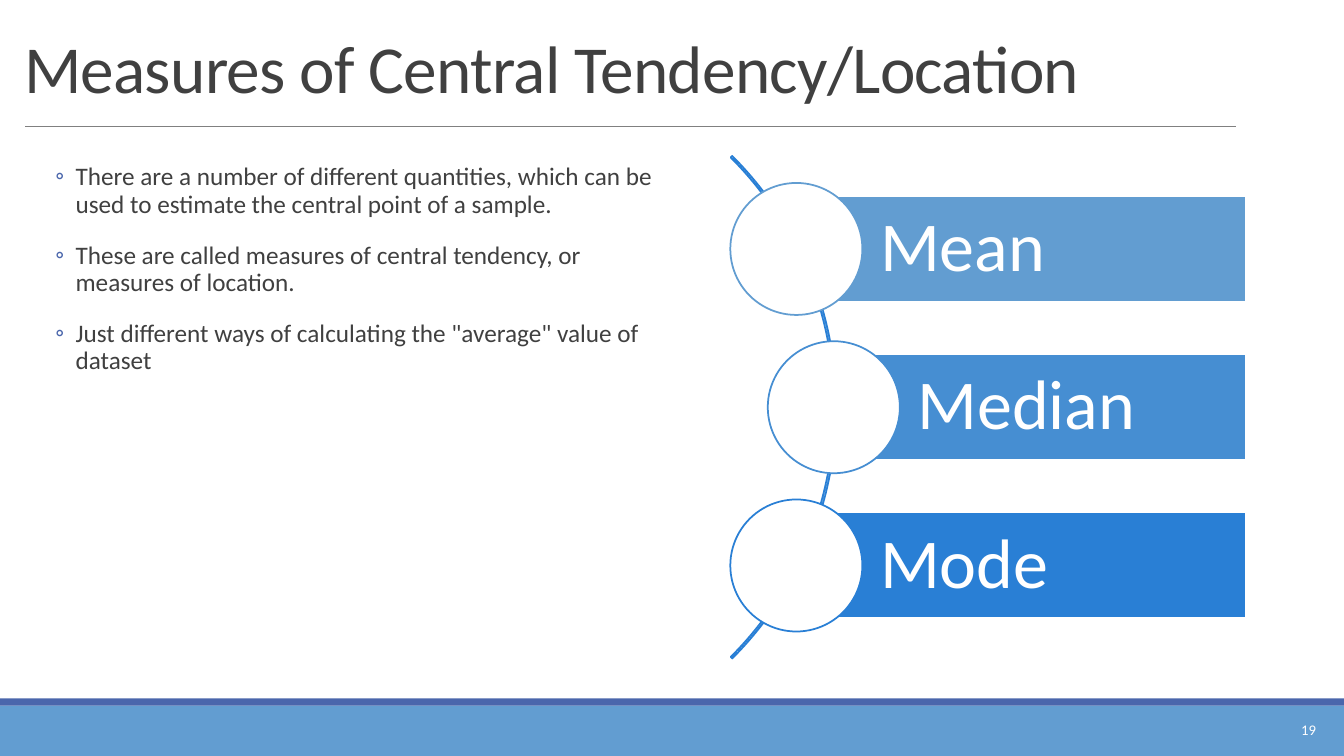
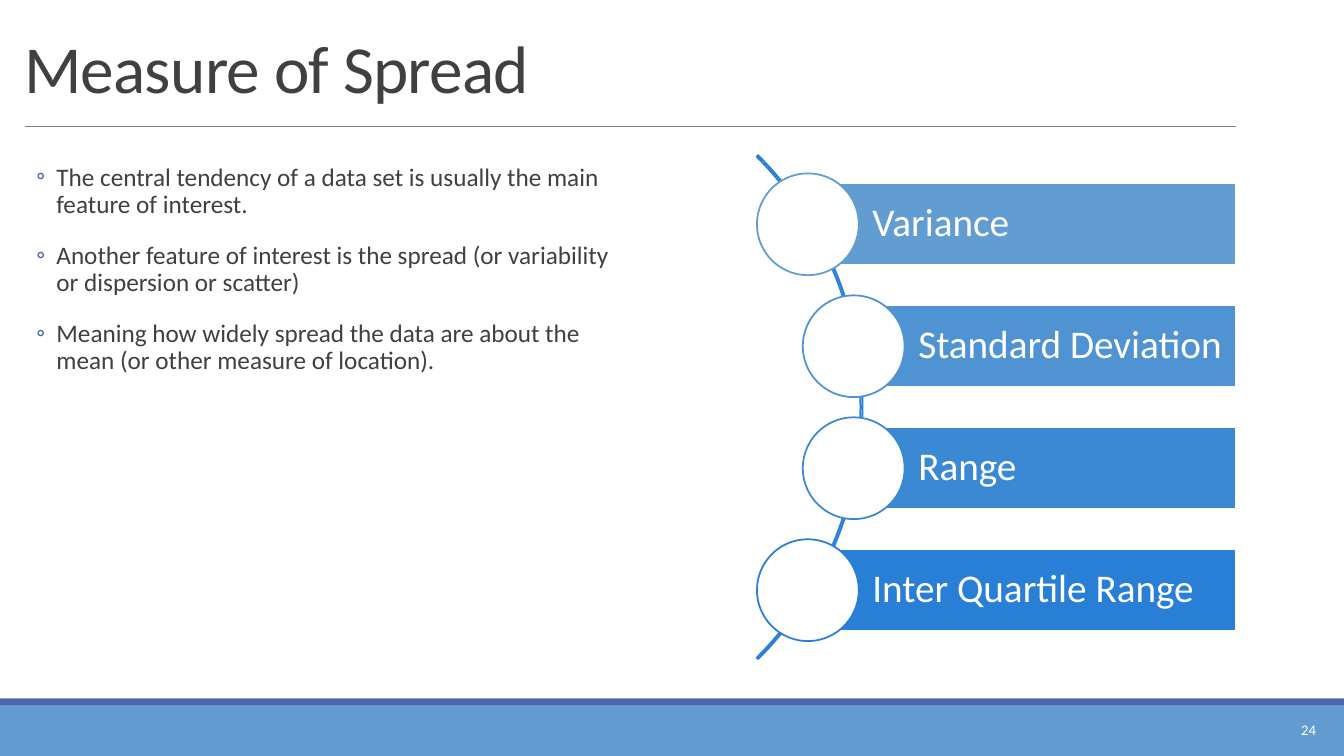
"""Build two statistics slides, each with bullets beside an arc of labelled bars."""
from math import sqrt

from lxml.etree import SubElement
from pptx import Presentation
from pptx.dml.color import RGBColor
from pptx.enum.shapes import MSO_CONNECTOR as CONN, MSO_SHAPE as SHAPE
from pptx.enum.text import MSO_ANCHOR as ANCHOR, PP_ALIGN as ALIGN
from pptx.oxml.ns import qn
from pptx.util import Inches, Pt

FONT = "Calibri"
WHITE, DARK, GREY = "FFFFFF", "404040", "808080"
LIGHT, INDIGO, BLUE = "629DD1", "4A66AC", "297FD5"
RING_RADIUS = 3.5

SLIDES = [
    {
        "title": "Measures of Central Tendency/Location",
        "number": "19",
        "body": (0.33, 1.58, 6.25, 5),
        "bullets": [
            "There are a number of different quantities, which can be used to estimate the central point of a sample.",
            "These are called measures of central tendency, or measures of location.",
            'Just different ways of calculating the "average" value of dataset',
        ],
        "bars": [("Mean", LIGHT), ("Median", "468ED2"), ("Mode", BLUE)],
        "center": (4.77, 4.04), "arc": 7.05, "right": 12.36,
        "pitch": 1.57, "circle": 1.31, "size": 50, "insets": (0.83, 0.14),
    },
    {
        "title": "Measure of Spread",
        "number": "24",
        "body": (0.14, 1.58, 5.94, 4.92),
        "bullets": [
            "The central tendency of a data set is usually the main feature of interest.",
            "Another feature of interest is the spread (or variability or dispersion or scatter)",
            "Meaning how widely spread the data are about the mean (or other measure of location).",
        ],
        "bars": [("Variance", LIGHT), ("Standard Deviation", "5093D2"),
                 ("Range", "3C89D3"), ("Inter Quartile Range", BLUE)],
        "center": (5.02, 4.04), "arc": 7.07, "right": 12.26,
        "pitch": 1.21, "circle": 1.01, "size": 28, "insets": (0.64, 0.08),
    },
]


def rgb(color):
    return RGBColor.from_string(color)


def add_shape(s, kind, box, fill=None, line=None):
    sp = s.shapes.add_shape(kind, *map(Inches, box))
    sp.shadow.inherit = False
    if fill:
        sp.fill.solid()
        sp.fill.fore_color.rgb = rgb(fill)
    else:
        sp.fill.background()
    if line:
        sp.line.color.rgb = rgb(line)
        sp.line.width = Pt(1.25)
    else:
        sp.line.fill.background()
    return sp


def set_frame(sp, anchor, insets=(0.1, 0.05, 0.1, 0.05)):
    tf = sp.text_frame
    tf.word_wrap = True
    tf.vertical_anchor = anchor
    tf.margin_left, tf.margin_top, tf.margin_right, tf.margin_bottom = map(Inches, insets)
    return tf


def add_text_box(s, box, anchor, **kwargs):
    return set_frame(s.shapes.add_textbox(*map(Inches, box)), anchor, **kwargs)


def write(p, text, size, color, spacing=1.0, align=ALIGN.LEFT):
    p.alignment = align
    p.line_spacing = spacing
    r = p.add_run()
    r.text = text
    r.font.name, r.font.size = FONT, Pt(size)
    r.font.color.rgb = rgb(color)
    return r


def add_bullet(p):
    p.space_before, p.space_after = Pt(8), Pt(9)
    pPr = p._p.get_or_add_pPr()
    pPr.set("marL", str(Inches(0.42)))
    pPr.set("indent", str(Inches(-0.2)))
    SubElement(SubElement(pPr, qn("a:buClr")), qn("a:srgbClr"), val=INDIGO)
    SubElement(pPr, qn("a:buFont"), typeface=FONT)
    SubElement(pPr, qn("a:buChar"), char="◦")


def add_frame(s, title, number):
    add_shape(s, SHAPE.RECTANGLE, (0, 7, 13.33, 0.5), LIGHT)
    add_shape(s, SHAPE.RECTANGLE, (0, 6.93, 13.33, 0.07), INDIGO)
    rule = s.shapes.add_connector(CONN.STRAIGHT, *map(Inches, (0.25, 1.25, 12.26, 1.25)))
    rule.line.color.rgb = rgb(GREY)
    rule.line.width = Pt(0.5)
    SubElement(rule._element.spPr, qn("a:effectLst"))
    tf = add_text_box(s, (0.14, 0.17, 12.03, 0.94), ANCHOR.BOTTOM)
    r = write(tf.paragraphs[0], title, 48, DARK, 0.85)
    r.font._element.set("spc", "-50")
    tf = add_text_box(s, (11.72, 7.04, 1.43, 0.4), ANCHOR.MIDDLE)
    write(tf.paragraphs[0], number, 10.5, WHITE, align=ALIGN.RIGHT)


def add_bullets(s, box, bullets):
    tf = add_text_box(s, box, ANCHOR.TOP, insets=(0, 0.05, 0, 0.05))
    for i, text in enumerate(bullets):
        p = tf.paragraphs[0] if i == 0 else tf.add_paragraph()
        write(p, text, 18, DARK, 0.9)
        add_bullet(p)


def add_arc_list(s, data):
    cx, cy = data["center"]
    arc, circle = data["arc"], data["circle"]
    height = 0.8 * circle
    left_inset, inset = data["insets"]
    sp = add_shape(s, SHAPE.BLOCK_ARC, (cx - arc / 2, cy - arc / 2, arc, arc), line=BLUE)
    for i, value in enumerate((189, 27, 0.003)):
        sp.adjustments[i] = value
    for i, (label, color) in enumerate(data["bars"]):
        dy = (i - (len(data["bars"]) - 1) / 2) * data["pitch"]
        x, y = cx + sqrt(RING_RADIUS ** 2 - dy ** 2), cy + dy
        bar = add_shape(s, SHAPE.RECTANGLE, (x, y - height / 2, data["right"] - x, height), color, WHITE)
        tf = set_frame(bar, ANCHOR.MIDDLE, (left_inset, inset, inset, inset))
        write(tf.paragraphs[0], label, data["size"], WHITE, 0.9)
        add_shape(s, SHAPE.OVAL, (x - circle / 2, y - circle / 2, circle, circle), WHITE, color)


def main():
    prs = Presentation()
    prs.slide_width, prs.slide_height = Inches(13.33), Inches(7.5)
    for data in SLIDES:
        s = prs.slides.add_slide(prs.slide_layouts[6])
        add_frame(s, data["title"], data["number"])
        add_bullets(s, data["body"], data["bullets"])
        add_arc_list(s, data)
    prs.save("out.pptx")


if __name__ == "__main__":
    main()
